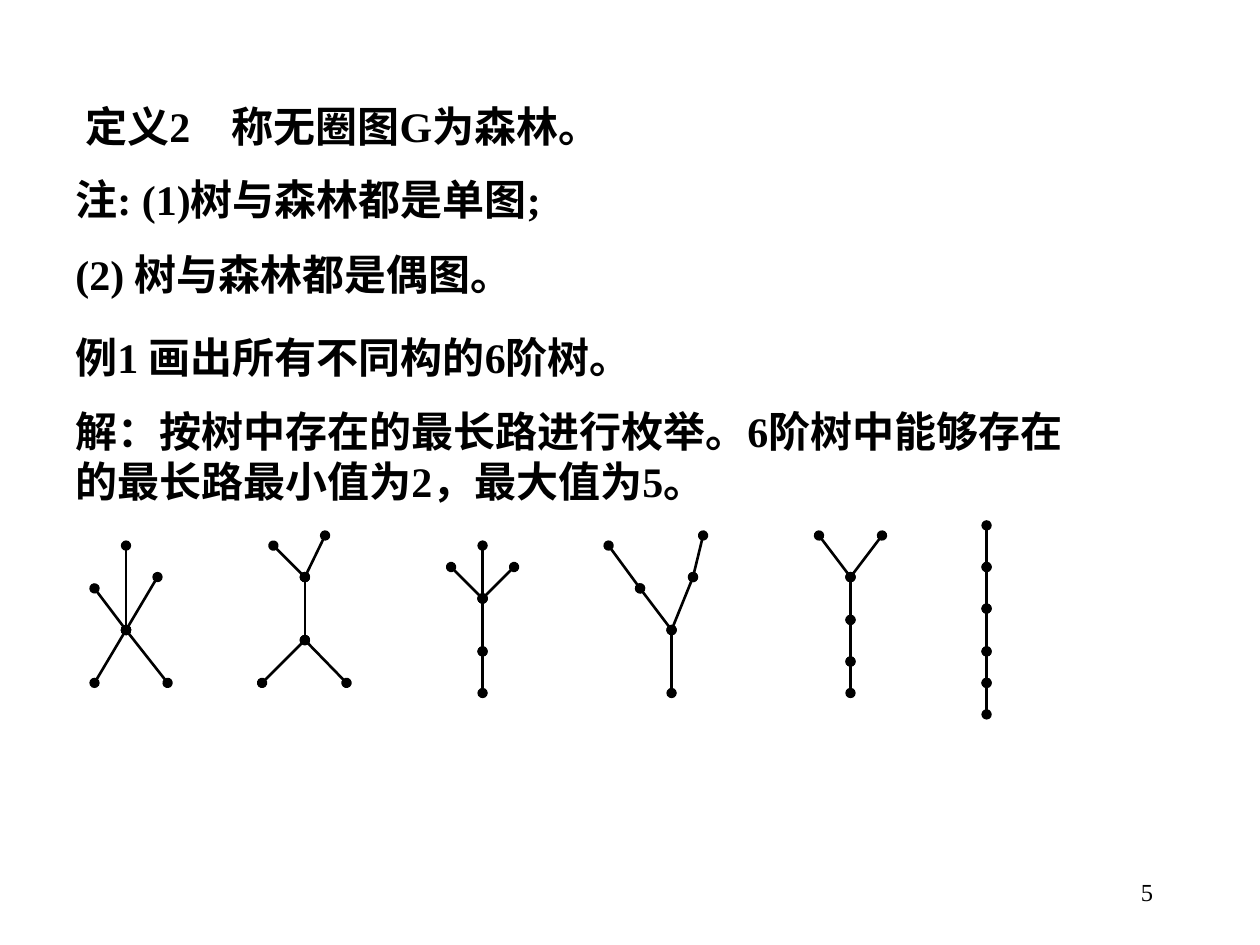
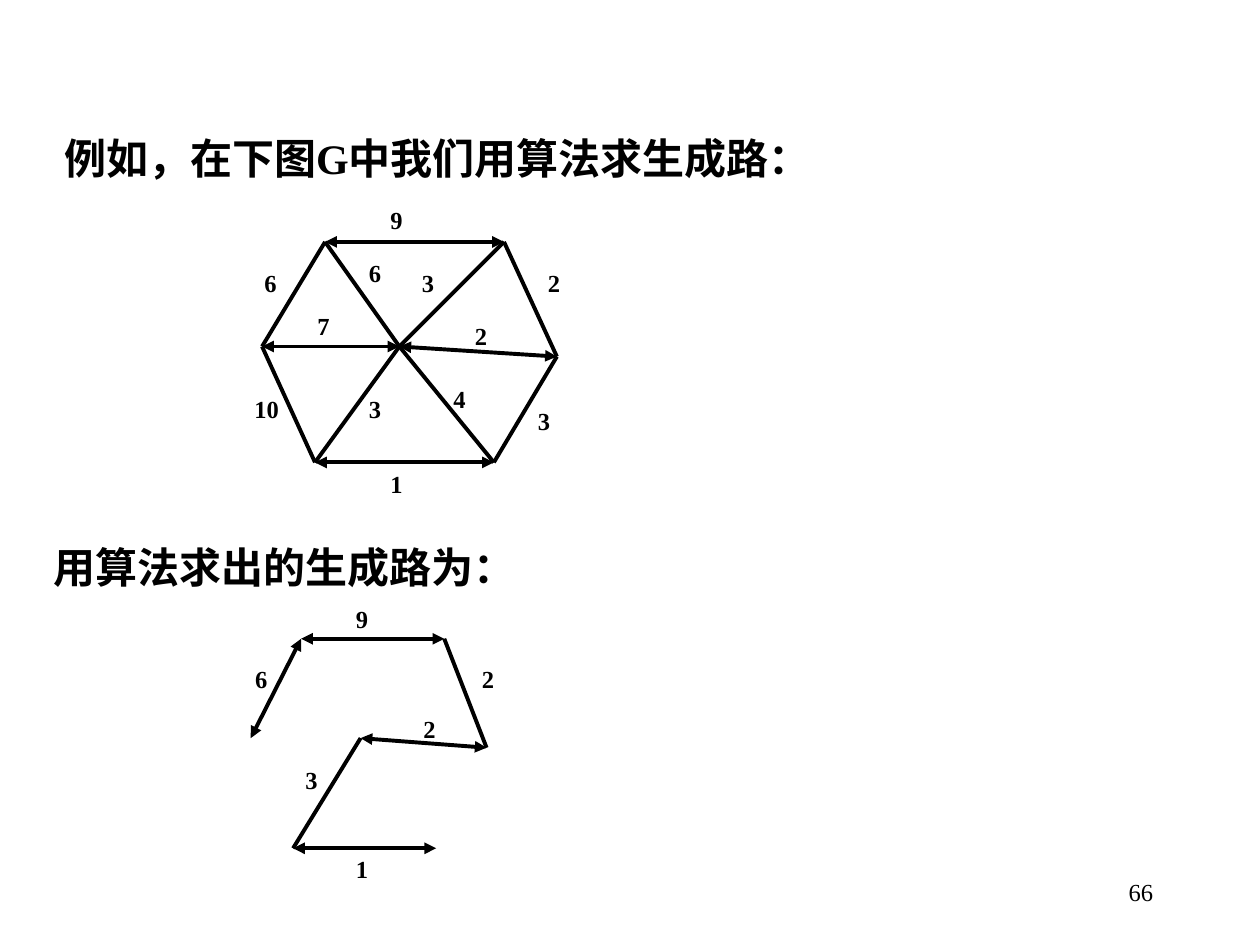
"""Build two graph theory slides: the trees of order 6 and a spanning path."""
from lxml import etree
from pptx import Presentation
from pptx import util as u
from pptx.dml.color import RGBColor
from pptx.enum import lang, shapes, text
from pptx.oxml import ns

BLACK = "000000"
FONT = "Times New Roman"
STATEMENT = {"size": u.Pt(24), "bold": True}
WEIGHT = {"size": u.Pt(14), "bold": True}
PAGE_NUMBER = {"size": u.Pt(14), "bold": False}
TERM_TAB = 1.16

TREE_STATEMENTS = [
    (0.58, 0.75, 0.5, "定义2\t称无圈图G为森林。"),
    (0.5, 1.33, 0.5, "注: (1)树与森林都是单图;"),
    (0.5, 1.92, 0.5, "(2) 树与森林都是偶图。"),
    (0.5, 2.58, 0.5, "例1 画出所有不同构的6阶树。"),
    (0.5, 3.17, 0.9, "解：按树中存在的最长路进行枚举。6阶树中能够存在的最长路最小值为2，最大值为5。"),
]
PATH_STATEMENTS = [
    (0.41, 1, 0.5, "例如，在下图G中我们用算法求生成路："),
    (0.33, 4.25, 0.5, "用算法求出的生成路为："),
]

TREES = [
    ([(1, 5), (1, 4.33), (0.75, 4.67), (1.25, 4.58), (0.75, 5.42), (1.33, 5.42)],
     [(0, 1), (0, 2), (0, 3), (0, 4), (0, 5)]),
    ([(2.42, 4.58), (2.17, 4.33), (2.58, 4.25), (2.42, 5.08), (2.08, 5.42), (2.75, 5.42)],
     [(0, 1), (0, 2), (0, 3), (3, 4), (3, 5)]),
    ([(3.83, 4.75), (3.83, 4.33), (3.58, 4.5), (4.08, 4.5), (3.83, 5.17), (3.83, 5.5)],
     [(0, 1), (0, 2), (0, 3), (0, 4), (4, 5)]),
    ([(5.33, 5), (5.08, 4.67), (4.83, 4.33), (5.5, 4.58), (5.58, 4.25), (5.33, 5.5)],
     [(0, 1), (1, 2), (0, 3), (3, 4), (0, 5)]),
    ([(6.75, 4.58), (6.5, 4.25), (7, 4.25), (6.75, 4.92), (6.75, 5.25), (6.75, 5.5)],
     [(0, 1), (0, 2), (0, 3), (3, 4), (4, 5)]),
    ([(7.83, 4.17), (7.83, 4.5), (7.83, 4.83), (7.83, 5.17), (7.83, 5.42), (7.83, 5.67)],
     [(0, 1), (1, 2), (2, 3), (3, 4), (4, 5)]),
]

VERTICES = {
    "top left": (2.58, 1.92), "top right": (4, 1.92), "right": (4.42, 2.83),
    "bottom right": (3.92, 3.67), "bottom left": (2.5, 3.67), "left": (2.08, 2.75),
    "centre": (3.17, 2.75),
}
GRAPH_EDGES = [
    ("top left", "top right", "9", (3, 1.58), "triangle"),
    ("top left", "left", "6", (2, 2.08), None),
    ("top right", "right", "2", (4.25, 2.08), None),
    ("left", "bottom left", "10", (1.92, 3.08), None),
    ("bottom left", "bottom right", "1", (3, 3.67), "triangle"),
    ("right", "bottom right", "3", (4.17, 3.17), None),
    ("top left", "centre", "6", (2.83, 2), None),
    ("left", "centre", "7", (2.42, 2.42), "triangle"),
    ("centre", "bottom left", "3", (2.83, 3.08), None),
    ("centre", "bottom right", "4", (3.5, 3), None),
    ("centre", "right", "2", (3.67, 2.5), "triangle"),
    ("top right", "centre", "3", (3.25, 2.08), None),
]
PATH_EDGES = [
    ("top left", "top right", "9", (3, 1.58), "triangle"),
    ("top left", "left", "6", (2, 2.08), "triangle"),
    ("top right", "right", "2", (4.25, 2.08), None),
    ("centre", "right", "2", (3.67, 2.5), "triangle"),
    ("centre", "bottom left", "3", (2.5, 2.92), None),
    ("bottom left", "bottom right", "1", (3, 3.67), "triangle"),
]
GRAPH_PLACE = {"origin": VERTICES["top left"], "scale": (1, 1)}
PATH_PLACE = {"origin": (2.39, 5.07), "scale": (0.8, 0.95)}


def colour(value):
    """Turn a hex string into a colour."""
    return RGBColor.from_string(value)


def add_text(parent, box, content, style, align=text.PP_ALIGN.LEFT,
             anchor=text.MSO_ANCHOR.TOP):
    """Add a wrapping one-paragraph text box and return its paragraph."""
    frame = parent.add_textbox(*map(u.Inches, box)).text_frame
    frame.word_wrap = True
    frame.vertical_anchor = anchor
    paragraph = frame.paragraphs[0]
    paragraph.alignment = align
    run = paragraph.add_run()
    run.text = content
    values = {"name": FONT, "language_id": lang.MSO_LANGUAGE_ID.SIMPLIFIED_CHINESE, **style}
    for name, value in values.items():
        setattr(run.font, name, value)
    run.font.color.rgb = colour(BLACK)
    return paragraph


def add_edge(parent, start, end, width, ends):
    """Draw a straight edge with the same mark, if any, at both ends."""
    points = map(u.Inches, (*start, *end))
    connector = parent.add_connector(shapes.MSO_CONNECTOR.STRAIGHT, *points)
    connector.line.color.rgb = colour(BLACK)
    connector.line.width = u.Pt(width)
    properties = connector.element.spPr
    if ends:
        for tag in ("a:headEnd", "a:tailEnd"):
            etree.SubElement(properties.find(ns.qn("a:ln")), ns.qn(tag), type=ends)
    etree.SubElement(properties, ns.qn("a:effectLst"))


def add_statements(slide, statements):
    """Write the statements, setting off a defined term with a tab."""
    for left, top, height, content in statements:
        paragraph = add_text(slide.shapes, (left, top, 8.25, height), content, STATEMENT)
        if "\t" in content:
            tabs = etree.SubElement(paragraph._p.get_or_add_pPr(), ns.qn("a:tabLst"))
            etree.SubElement(tabs, ns.qn("a:tab"), pos=str(u.Inches(TERM_TAB)), algn="l")


def add_weighted_graph(slide, edges, origin, scale):
    """Draw edges and weights, moving and scaling the shared vertices."""
    base = VERTICES["top left"]

    def place(point):
        """Map a point of the graph to the slide."""
        return tuple(o + (p - b) * s for o, p, b, s in zip(origin, point, base, scale))

    group = slide.shapes.add_group_shape().shapes
    for start, end, weight, spot, ends in edges:
        add_edge(group, place(VERTICES[start]), place(VERTICES[end]), 2.25, ends)
        add_text(group, (*place(spot), 0.43 * scale[0], 0.34), weight, WEIGHT)


def add_slide(presentation, number, statements):
    """Add a slide with its statements and page number."""
    slide = presentation.slides.add_slide(presentation.slide_layouts[6])
    add_text(slide.shapes, (7.17, 6.83, 2.08, 0.5), number, PAGE_NUMBER,
             text.PP_ALIGN.RIGHT, text.MSO_ANCHOR.MIDDLE)
    add_statements(slide, statements)
    return slide


def main():
    """Build and save the presentation."""
    presentation = Presentation()
    presentation.slide_width, presentation.slide_height = u.Inches(10), u.Inches(7.5)

    tree_slide = add_slide(presentation, "5", TREE_STATEMENTS)
    for vertices, edges in TREES:
        group = tree_slide.shapes.add_group_shape().shapes
        for start, end in edges:
            add_edge(group, vertices[start], vertices[end], 1.5, "oval")

    path_slide = add_slide(presentation, "66", PATH_STATEMENTS)
    add_weighted_graph(path_slide, GRAPH_EDGES, **GRAPH_PLACE)
    add_weighted_graph(path_slide, PATH_EDGES, **PATH_PLACE)

    presentation.save("out.pptx")


if __name__ == "__main__":
    main()
